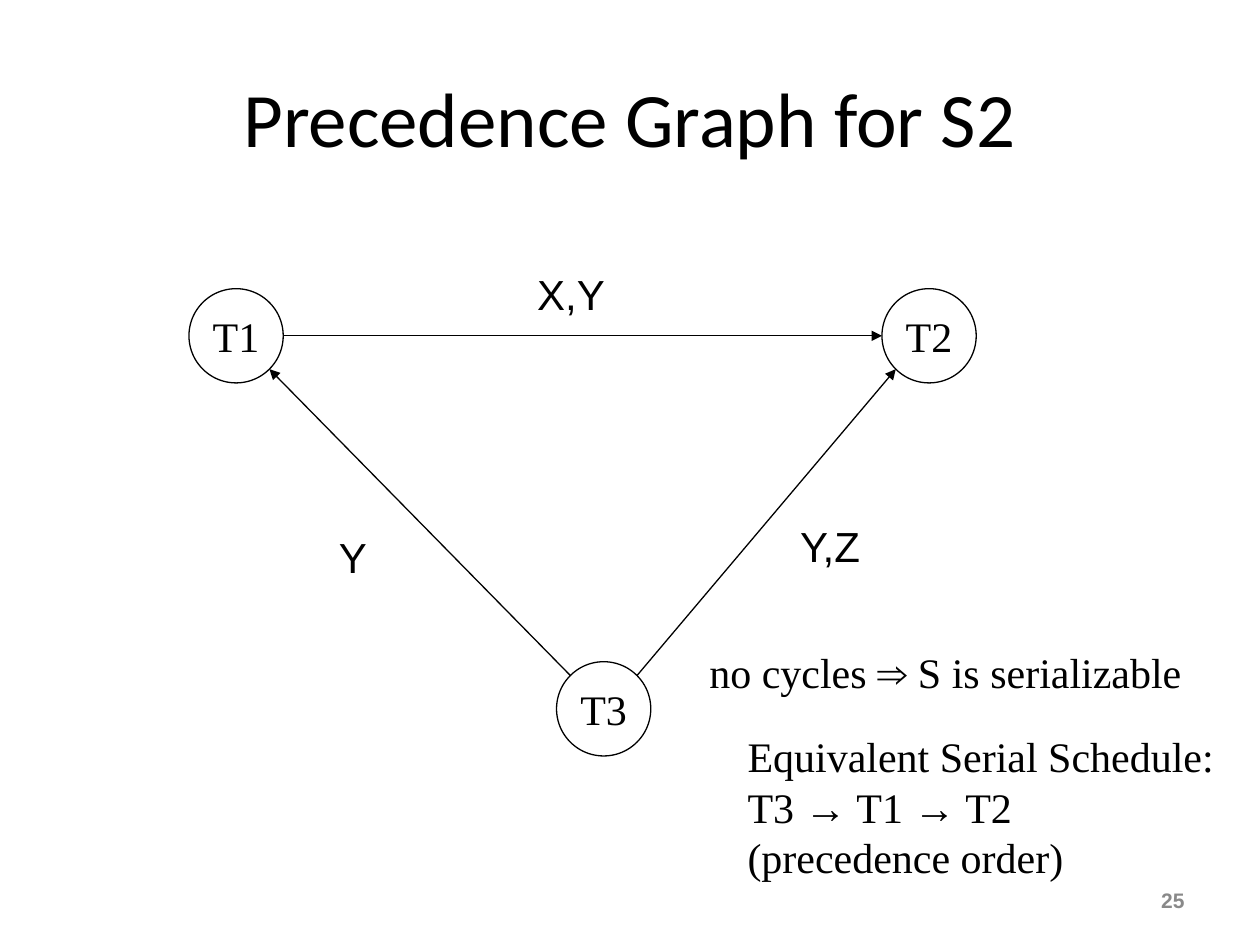
"""Builds the precedence graph slide for schedule S2."""
from dataclasses import dataclass
from itertools import groupby
from math import cos, radians, sin

from lxml.etree import SubElement
from pptx import Presentation
from pptx.dml.color import RGBColor
from pptx.enum.shapes import MSO_CONNECTOR, MSO_SHAPE
from pptx.enum.text import MSO_ANCHOR, PP_ALIGN
from pptx.oxml.ns import qn
from pptx.slide import Slide
from pptx.text.text import TextFrame
from pptx.util import Cm, Pt


@dataclass(frozen=True)
class Theme:
    ink: RGBColor = RGBColor(0, 0, 0)
    paper: RGBColor = RGBColor(255, 255, 255)
    muted: RGBColor = RGBColor(0x89, 0x89, 0x89)
    title: Pt = Pt(44)
    body: Pt = Pt(24)
    small: Pt = Pt(12)
    line: Pt = Pt(0.75)
    heading: str = "Calibri"
    sans: str = "Arial"
    serif: str = "Times New Roman"


@dataclass(frozen=True)
class Node:
    name: str
    x: float
    y: float

    def rim(self, angle: float) -> tuple[Cm, Cm]:
        a = radians(angle)
        return Cm(self.x + RADIUS * cos(a)), Cm(self.y + RADIUS * sin(a))


@dataclass(frozen=True)
class Edge:
    start: Node
    leave: float
    end: Node
    arrive: float


@dataclass(frozen=True)
class Label:
    text: str
    x: float
    y: float
    w: float
    h: float = 1.27
    font: str = Theme.serif
    size: Pt = Theme.body
    color: RGBColor = Theme.ink
    bold: bool = False
    align: PP_ALIGN = PP_ALIGN.LEFT
    anchor: MSO_ANCHOR = MSO_ANCHOR.TOP
    wrap: bool = False


THEME = Theme()
RADIUS = 0.95
SYMBOLS = "→⇒"

T1 = Node("T1", 4.76, 6.77)
T2 = Node("T2", 18.73, 6.77)
T3 = Node("T3", 12.17, 14.29)
NODES = [T1, T2, T3]
EDGES = [Edge(T1, 0, T2, 180), Edge(T3, 225, T1, 45), Edge(T3, 315, T2, 135)]
LABELS = [
    Label("Precedence Graph for S2", 1.27, 0.76, 22.86, 3.18, THEME.heading, THEME.title,
          align=PP_ALIGN.CENTER, anchor=MSO_ANCHOR.MIDDLE, wrap=True),
    Label("X,Y", 10.58, 5.29, 1.88, font=THEME.sans),
    Label("Y", 6.58, 10.58, 1.07, font=THEME.sans),
    Label("Y,Z", 15.88, 10.37, 1.83, font=THEME.sans),
    Label("Equivalent Serial Schedule:\nT3 → T1 → T2\n(precedence order)",
          14.82, 14.61, 9.91, 3.3),
    Label("no cycles ⇒ S is serializable", 14.05, 12.91, 10.31),
    Label("25", 18.2, 17.65, 5.93, 1.01, THEME.sans, THEME.small, THEME.muted, True,
          PP_ALIGN.RIGHT, MSO_ANCHOR.MIDDLE, True),
]


def write(tf: TextFrame, text: str, align: PP_ALIGN, font: str, **fmt) -> None:
    color = fmt.pop("color")
    for i, line in enumerate(text.split("\n")):
        p = tf.paragraphs[0] if i == 0 else tf.add_paragraph()
        p.alignment = align
        for symbol, chars in groupby(line, lambda c: c in SYMBOLS):
            r = p.add_run()
            r.text = "".join(chars)
            for key, value in {"name": THEME.sans if symbol else font, **fmt}.items():
                setattr(r.font, key, value)
            r.font.color.rgb = color


def draw_label(s: Slide, label: Label) -> None:
    sp = s.shapes.add_textbox(Cm(label.x), Cm(label.y), Cm(label.w), Cm(label.h))
    tf = sp.text_frame
    tf.word_wrap, tf.vertical_anchor = label.wrap, label.anchor
    write(tf, label.text, label.align, label.font,
          size=label.size, bold=label.bold, color=label.color)


def draw_node(s: Slide, node: Node) -> None:
    sp = s.shapes.add_shape(MSO_SHAPE.OVAL, Cm(node.x - RADIUS), Cm(node.y - RADIUS),
                            Cm(2 * RADIUS), Cm(2 * RADIUS))
    sp.shadow.inherit = False
    sp.fill.solid()
    sp.fill.fore_color.rgb = THEME.paper
    sp.line.color.rgb, sp.line.width = THEME.ink, THEME.line
    tf = sp.text_frame
    tf.word_wrap, tf.vertical_anchor = False, MSO_ANCHOR.MIDDLE
    write(tf, node.name, PP_ALIGN.CENTER, THEME.serif, size=THEME.body, color=THEME.ink)


def draw_edge(s: Slide, edge: Edge) -> None:
    sp = s.shapes.add_connector(MSO_CONNECTOR.STRAIGHT, *edge.start.rim(edge.leave),
                                *edge.end.rim(edge.arrive))
    sp.line.color.rgb, sp.line.width = THEME.ink, THEME.line
    SubElement(sp.line._get_or_add_ln(), qn("a:tailEnd"), type="triangle")
    SubElement(sp._element.spPr, qn("a:effectLst"))


def main() -> None:
    prs = Presentation()
    prs.slide_width, prs.slide_height = Cm(25.4), Cm(19.05)
    s = prs.slides.add_slide(prs.slide_layouts[6])
    for draw, items in ((draw_node, NODES), (draw_edge, EDGES), (draw_label, LABELS)):
        for item in items:
            draw(s, item)
    prs.save("out.pptx")


if __name__ == "__main__":
    main()
